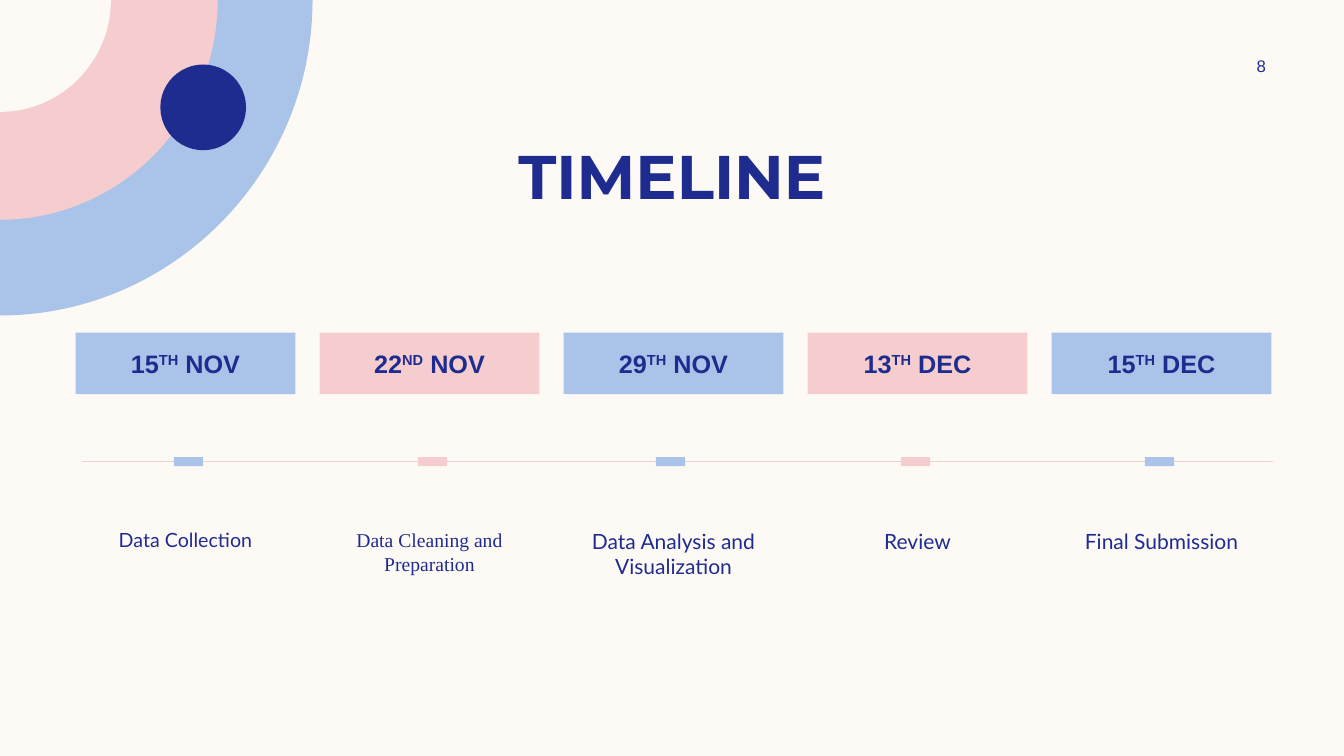
"""Build a project timeline slide with five dated milestones."""
import pptx
import pptx.dml.color
import pptx.enum.shapes
import pptx.enum.text
import pptx.oxml.ns
import pptx.util
from lxml import etree

COLORS = {"cream": "FDFAF6", "blue": "AAC3E8", "pink": "F5CDCE",
          "navy": "1F2C8F", "line": "F2D1D1"}
RGB = {k: pptx.dml.color.RGBColor.from_string(v) for k, v in COLORS.items()}
SHAPES = pptx.enum.shapes.MSO_SHAPE
ANCHOR = pptx.enum.text.MSO_ANCHOR
Inches = pptx.util.Inches
qn = pptx.oxml.ns.qn

LEFT, PITCH, COL_W = 0.75, 2.42, 2.18
CARD_Y, CARD_H = 3.3, 0.61
LINE_Y, MARK_W, MARK_H = 4.58, 0.29, 0.09
LABEL_Y, LABEL_H = 5.19, 0.87
BEND = 0.55

MILESTONES = [
    ("15", "TH", " NOV", "blue", 1.87, "Data Collection", "Lato", 14),
    ("22", "ND", " NOV", "pink", 4.29, "Data Cleaning and Preparation", "Times New Roman", 14),
    ("29", "TH", " NOV", "blue", 6.65, "Data Analysis and Visualization", "Lato", 15),
    ("13", "TH", " DEC", "pink", 9.08, "Review", "Lato", 15),
    ("15", "TH", " DEC", "blue", 11.5, "Final Submission", "Lato", 15),
]


def paint(sp, color):
    """Give a shape a flat fill without line or shadow."""
    sp.fill.solid()
    sp.fill.fore_color.rgb = RGB[color]
    sp.line.fill.background()
    sp.shadow.inherit = False


def write(sp, runs, font, size, bold=False, anchor=ANCHOR.MIDDLE, margins=(0, 0)):
    """Write centred navy runs of (text, raised) into a shape."""
    tf = sp.text_frame
    tf.word_wrap = True
    tf.auto_size = pptx.enum.text.MSO_AUTO_SIZE.NONE
    tf.vertical_anchor = anchor
    tf.margin_left = tf.margin_right = Inches(margins[0])
    tf.margin_top = tf.margin_bottom = Inches(margins[1])
    p = tf.paragraphs[0]
    p.alignment = pptx.enum.text.PP_ALIGN.CENTER
    for text, raised in runs:
        r = p.add_run()
        r.text = text
        r.font.name = font
        r.font.size = pptx.util.Pt(size)
        r.font.bold = bold
        r.font.color.rgb = RGB["navy"]
        if raised:
            r._r.get_or_add_rPr().set("baseline", "30000")


prs = pptx.Presentation()
prs.slide_width, prs.slide_height = Inches(13.33), Inches(7.5)
s = prs.slides.add_slide(prs.slide_layouts[5])
s.background.fill.solid()
s.background.fill.fore_color.rgb = RGB["cream"]

for rx, ry, color in [(3.1, 3.13, "blue"), (2.16, 2.18, "pink"), (1.1, 1.11, "cream")]:
    corners = [(rx, 0), (rx, BEND * ry), (BEND * rx, ry), (0, ry)]
    fb = s.shapes.build_freeform(0, 0)
    fb.add_line_segments([(Inches(x), Inches(y)) for x, y in corners], close=True)
    sp = fb.convert_to_shape()
    lines = list(sp._element.iter(qn("a:lnTo")))
    curve = etree.Element(qn("a:cubicBezTo"))
    lines[0].addnext(curve)
    for line in lines[1:4]:
        curve.append(line[0])
        line.getparent().remove(line)
    paint(sp, color)

dot = s.shapes.add_shape(SHAPES.OVAL, Inches(1.59), Inches(0.64), Inches(0.85), Inches(0.85))
paint(dot, "navy")

title = s.shapes.title
title.left, title.top = Inches(0.83), Inches(1.33)
title.width, title.height = Inches(11.67), Inches(0.84)
write(title, [("TIMELINE", False)], "Montserrat", 44, bold=True,
      anchor=ANCHOR.TOP, margins=(0.1, 0.04))

number = s.shapes.add_textbox(Inches(11.97), Inches(0.5), Inches(1.08), Inches(0.3))
write(number, [("8", False)], "Arial", 12, margins=(0.1, 0.05))

axis = s.shapes.add_connector(pptx.enum.shapes.MSO_CONNECTOR.STRAIGHT,
                              Inches(0.81), Inches(LINE_Y), Inches(12.63), Inches(LINE_Y))
axis.line.color.rgb = RGB["line"]
axis.line.width = pptx.util.Pt(1)
etree.SubElement(axis._element.spPr, qn("a:effectLst"))

for i, (day, suffix, month, color, mark_x, label, font, size) in enumerate(MILESTONES):
    x = Inches(LEFT + i * PITCH)
    card = s.shapes.add_shape(SHAPES.RECTANGLE, x, Inches(CARD_Y), Inches(COL_W), Inches(CARD_H))
    paint(card, color)
    write(card, [(day, False), (suffix, True), (month, False)], "Arial", 18, bold=True)

    mark = s.shapes.add_shape(SHAPES.RECTANGLE, Inches(mark_x - MARK_W / 2),
                              Inches(LINE_Y - MARK_H / 2), Inches(MARK_W), Inches(MARK_H))
    paint(mark, color)

    text = s.shapes.add_textbox(x, Inches(LABEL_Y), Inches(COL_W), Inches(LABEL_H))
    write(text, [(label, False)], font, size, anchor=ANCHOR.TOP, margins=(0, 0.05))

prs.save("out.pptx")
